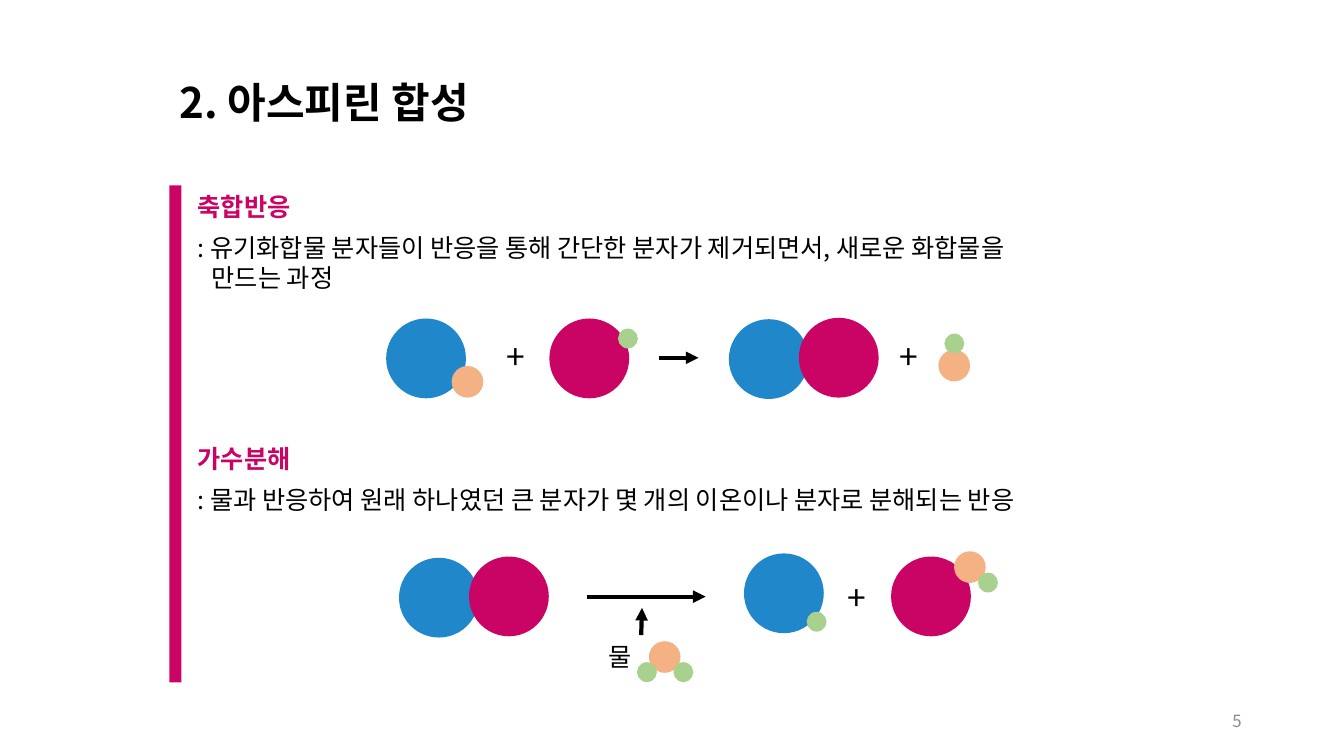
"""Builds the slide on aspirin synthesis: condensation and hydrolysis."""
from dataclasses import dataclass

import lxml.etree
import pptx
import pptx.dml.color
import pptx.enum.shapes
import pptx.enum.text
import pptx.oxml.ns
import pptx.util

Pt = pptx.util.Pt
ALIGN = pptx.enum.text.PP_ALIGN
ANCHOR = pptx.enum.text.MSO_ANCHOR
SHAPE = pptx.enum.shapes.MSO_SHAPE
qn = pptx.oxml.ns.qn

FONT = "Noto Sans CJK KR"
BLACK, GREY = "000000", "8C8C8C"
BLUE, MAGENTA, ORANGE, GREEN = "2088CA", "CA0464", "F4B183", "A9D18E"
DIAMETER = {BLUE: 57, MAGENTA: 57, ORANGE: 22.6, GREEN: 14.2}


@dataclass
class Atom:
    color: str
    left: float
    top: float


@dataclass
class Arrow:
    x1: float
    y1: float
    x2: float
    y2: float


@dataclass
class Label:
    text: str
    left: float
    top: float
    width: float
    height: float
    size: float
    color: str = BLACK
    align: ALIGN = ALIGN.CENTER


@dataclass
class Section:
    heading: str
    lines: list[str]
    top: float
    height: float


SECTIONS = [
    Section("축합반응", [": 유기화합물 분자들이 반응을 통해 간단한 분자가 제거되면서, 새로운 화합물을",
                     "만드는 과정"], 133, 80),
    Section("가수분해", [": 물과 반응하여 원래 하나였던 큰 분자가 몇 개의 이온이나 분자로 분해되는 반응"], 313, 58),
]
ATOMS = [
    Atom(BLUE, 275.8, 227.5), Atom(ORANGE, 322.6, 261.4),
    Atom(MAGENTA, 392.4, 227.5), Atom(GREEN, 441.4, 234.7),
    Atom(BLUE, 520.6, 228), Atom(MAGENTA, 570.6, 227),
    Atom(ORANGE, 670.3, 249.8), Atom(GREEN, 674.6, 238.3),
    Atom(BLUE, 531.4, 395.3), Atom(GREEN, 576.2, 437),
    Atom(MAGENTA, 636.5, 397.5), Atom(ORANGE, 681.5, 393.8), Atom(GREEN, 698.6, 409),
    Atom(BLUE, 285, 398.4), Atom(MAGENTA, 335, 397.5),
    Atom(ORANGE, 463.5, 458), Atom(GREEN, 455, 473), Atom(GREEN, 481, 473),
]
ARROWS = [
    Arrow(470.9, 255.6, 499, 255.6),
    Arrow(419, 426.2, 504, 426.2),
    Arrow(458, 453.6, 458.6, 434.2),
]
LABELS = [
    Label("+", 347, 236.6, 42.5, 36, 24),
    Label("+", 627.8, 236.6, 42.5, 36, 24),
    Label("+", 591, 408.4, 42.5, 36, 24),
    Label("물", 425, 457, 36, 24, 18),
    Label("5", 678, 500, 209, 29, 12, GREY, ALIGN.RIGHT),
]


def rgb(color: str) -> pptx.dml.color.RGBColor:
    """Turn a hex string into a colour."""
    return pptx.dml.color.RGBColor.from_string(color)


def add_run(paragraph, text: str, size: float, color: str = BLACK, bold: bool = False) -> None:
    """Add one formatted run to a paragraph."""
    run = paragraph.add_run()
    run.text = text
    run.font.name = FONT
    run.font.size = Pt(size)
    run.font.bold = bold
    run.font.color.rgb = rgb(color)
    lxml.etree.SubElement(run.font._element, qn("a:ea")).set("typeface", FONT)


def set_frame(frame, anchor: ANCHOR, side: float, edge: float) -> None:
    """Set wrapping, anchor and insets of a text frame."""
    frame.word_wrap = True
    frame.auto_size = pptx.enum.text.MSO_AUTO_SIZE.NONE
    frame.vertical_anchor = anchor
    frame.margin_left = frame.margin_right = Pt(side)
    frame.margin_top = frame.margin_bottom = Pt(edge)


def place(shape, left: float, top: float, width: float, height: float) -> None:
    """Move and size a placeholder."""
    shape.left, shape.top = Pt(left), Pt(top)
    shape.width, shape.height = Pt(width), Pt(height)


def fill_section(body, section: Section) -> None:
    """Write a heading and its explanation into a body placeholder."""
    place(body, 130, section.top, 715, section.height)
    frame = body.text_frame
    set_frame(frame, ANCHOR.TOP, 11.2, 3.6)
    for index, line in enumerate([section.heading, *section.lines]):
        paragraph = frame.paragraphs[0] if index == 0 else frame.add_paragraph()
        paragraph.alignment = ALIGN.LEFT
        paragraph.line_spacing = Pt(21.6)
        paragraph.space_before = Pt(7.7 if index == 1 else 0)
        properties = paragraph._p.get_or_add_pPr()
        properties.set("marL", str(Pt(10 if index == 2 else 0)))
        properties.set("indent", "0")
        lxml.etree.SubElement(properties, qn("a:buNone"))
        add_run(paragraph, line, 18, MAGENTA if index == 0 else BLACK, index == 0)


def add_solid(slide, kind: SHAPE, left: float, top: float, width: float, height: float,
              color: str) -> None:
    """Draw a filled shape without an outline."""
    solid = slide.shapes.add_shape(kind, Pt(left), Pt(top), Pt(width), Pt(height))
    solid.shadow.inherit = False
    solid.fill.solid()
    solid.fill.fore_color.rgb = rgb(color)
    solid.line.fill.background()


def add_arrow(slide, arrow: Arrow) -> None:
    """Draw a reaction arrow."""
    line = slide.shapes.add_connector(pptx.enum.shapes.MSO_CONNECTOR.STRAIGHT, Pt(arrow.x1),
                                      Pt(arrow.y1), Pt(arrow.x2), Pt(arrow.y2))
    line.line.width = Pt(3)
    line.line.color.rgb = rgb(BLACK)
    lxml.etree.SubElement(line.line._get_or_add_ln(), qn("a:tailEnd")).set("type", "triangle")
    lxml.etree.SubElement(line._element.spPr, qn("a:effectLst"))


def add_label(slide, label: Label) -> None:
    """Draw a short free-standing text."""
    box = slide.shapes.add_textbox(Pt(label.left), Pt(label.top), Pt(label.width),
                                   Pt(label.height))
    set_frame(box.text_frame, ANCHOR.MIDDLE, 0, 0)
    paragraph = box.text_frame.paragraphs[0]
    paragraph.alignment = label.align
    add_run(paragraph, label.text, label.size, label.color)


def main() -> None:
    """Build and save the slide."""
    deck = pptx.Presentation()
    deck.slide_width, deck.slide_height = Pt(960), Pt(540)
    slide = deck.slides.add_slide(deck.slide_layouts[3])
    title, *bodies = slide.placeholders
    place(title, 121, 51, 394, 44)
    set_frame(title.text_frame, ANCHOR.MIDDLE, 7.2, 0)
    heading = title.text_frame.paragraphs[0]
    heading.alignment = ALIGN.LEFT
    add_run(heading, "2. 아스피린 합성", 30, bold=True)
    for body, section in zip(bodies, SECTIONS):
        fill_section(body, section)
    add_solid(slide, SHAPE.RECTANGLE, 121, 132.5, 8.6, 355, MAGENTA)
    for atom in ATOMS:
        size = DIAMETER[atom.color]
        add_solid(slide, SHAPE.OVAL, atom.left, atom.top, size, size, atom.color)
    for arrow in ARROWS:
        add_arrow(slide, arrow)
    for label in LABELS:
        add_label(slide, label)
    deck.save("out.pptx")


if __name__ == "__main__":
    main()
